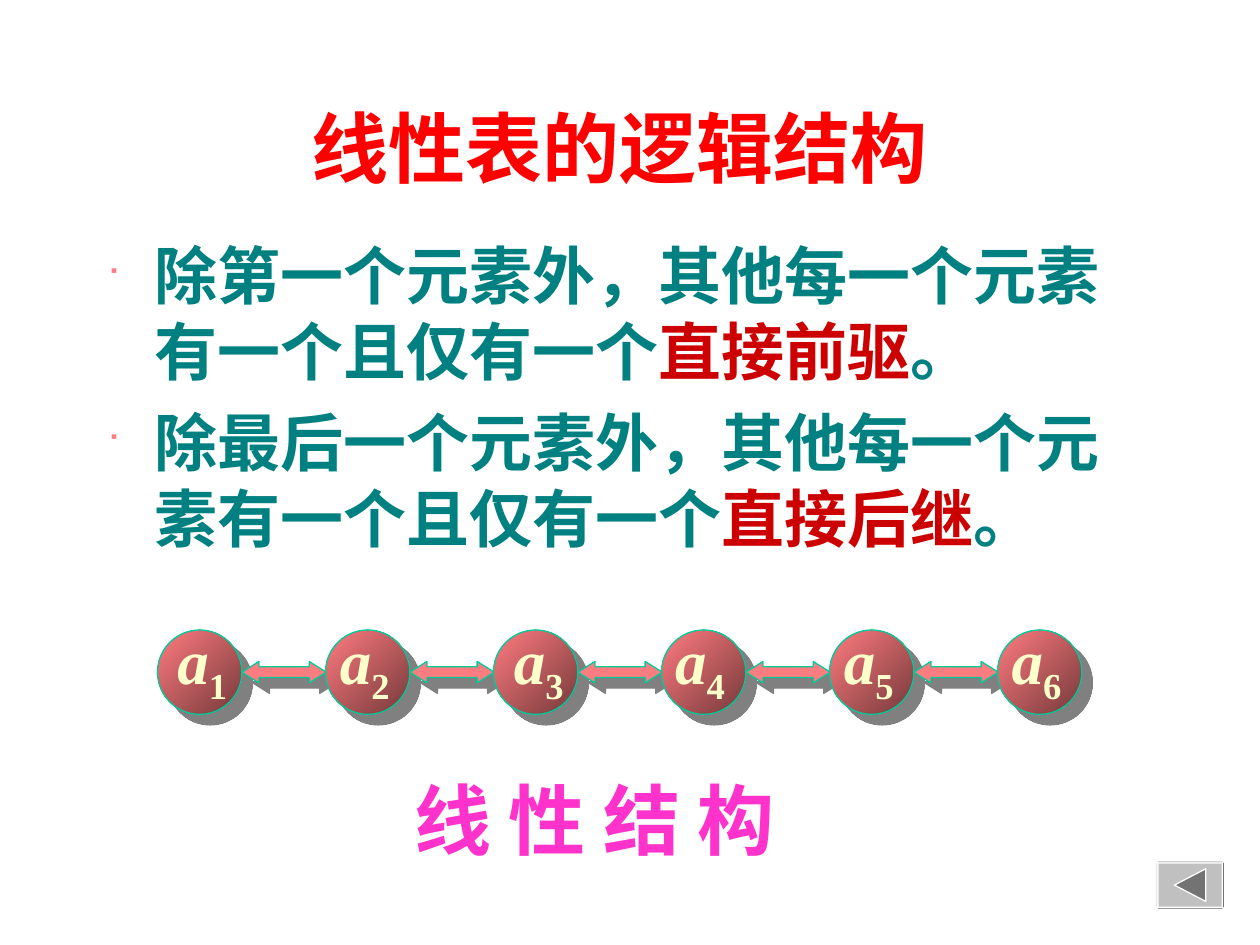
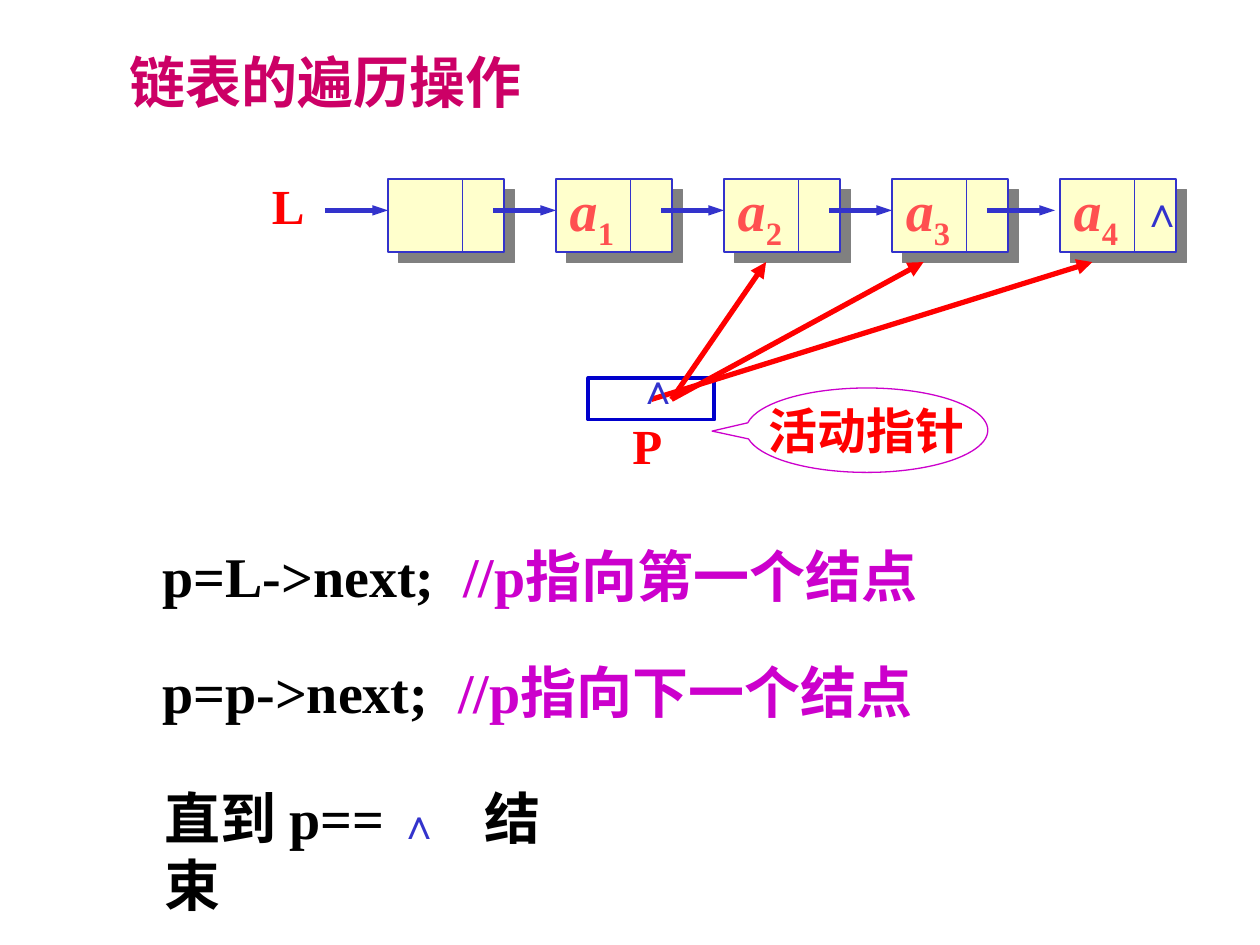
from lxml import etree
from pptx import Presentation
from pptx import util as u
from pptx.dml.color import RGBColor
from pptx.enum import shapes, text
from pptx.oxml import parse_xml
from pptx.oxml.ns import qn

SHAPE = shapes.MSO_SHAPE
ALIGN = text.PP_ALIGN
SERIF = "Times New Roman"
RED, BLUE, PINK, CREAM = "FF0000", "3333CC", "FF7C80", "FFFFCC"
PURPLE, GREEN, TEAL, CRIMSON = "CC00CC", "00CC99", "008080", "CC0000"
DRAWING = "http://schemas.openxmlformats.org/drawingml/2006/main"
PITCH = 4 / 3


def color(code):
    """Turn a hex string into a colour."""
    return RGBColor.from_string(code)


def add_xml(parent, markup):
    """Append a drawing element, given without its prefix declaration."""
    tag, rest = markup.split(" ", 1)
    parent.append(parse_xml(f'{tag} xmlns:a="{DRAWING}" {rest}'))


def write(frame, paragraphs, size=32, ink=RED, font=SERIF, align=ALIGN.LEFT, wrap=False,
          grow=True, anchor=text.MSO_ANCHOR.TOP, bullet=None, gap=0, tab=None):
    """Fill a frame with paragraphs, each a list of (words, run overrides)."""
    frame.word_wrap = wrap
    frame.auto_size = text.MSO_AUTO_SIZE.SHAPE_TO_FIT_TEXT if grow else text.MSO_AUTO_SIZE.NONE
    frame.vertical_anchor = anchor
    for number, runs in enumerate(paragraphs):
        paragraph = frame.add_paragraph() if number else frame.paragraphs[0]
        paragraph.alignment = align
        paragraph.space_before = u.Pt(gap if number else 0)
        props = paragraph._p.get_or_add_pPr()
        if bullet:
            props.set("marL", str(u.Inches(0.38)))
            props.set("indent", str(-u.Inches(0.38)))
            add_xml(props, f'<a:buClr ><a:srgbClr val="{bullet}"/></a:buClr>')
            add_xml(props, '<a:buSzPct val="50000"/>')
            add_xml(props, '<a:buFont typeface="Wingdings" charset="2"/>')
            add_xml(props, '<a:buChar char="■"/>')
        if tab:
            stops = etree.SubElement(props, qn("a:tabLst"))
            etree.SubElement(stops, qn("a:tab"), pos=str(u.Inches(tab)), algn="l")
        for words, own in runs:
            run = paragraph.add_run()
            run.text = words
            run.font.name = own.get("font", font)
            run.font.size = u.Pt(own.get("size", size))
            run.font.color.rgb = color(own.get("ink", ink))
            run.font.bold = True
            run.font.italic = own.get("italic", False)
            if "base" in own:
                run._r.get_or_add_rPr().set("baseline", str(own["base"]))


class Deck:
    """Holds the shared style and the current slide."""

    def __init__(self):
        """Start an empty 10 by 7.5 inch presentation."""
        self.show = Presentation()
        self.show.slide_width, self.show.slide_height = u.Inches(10), u.Inches(7.5)

    def new_slide(self, title, box, **style):
        """Add a title-only slide with its title placed and formatted."""
        self.slide = self.show.slides.add_slide(self.show.slide_layouts[5])
        heading = self.slide.shapes.title
        heading.left, heading.top, heading.width, heading.height = map(u.Inches, box)
        write(heading.text_frame, [[(title, {})]], wrap=True, grow=False,
              anchor=text.MSO_ANCHOR.MIDDLE, **style)

    def label(self, box, *paragraphs, **style):
        """Add a text box."""
        frame = self.slide.shapes.add_textbox(*map(u.Inches, box)).text_frame
        write(frame, paragraphs, **style)

    def element(self, box, index, **style):
        """Add an italic a with an upright subscript."""
        self.label(box, [("a", {"italic": True}), (str(index), {"base": -25000})], **style)

    def paint(self, shape, fill, line, width=0.75, shadow=False):
        """Set fill, outline and shadow of a shape."""
        shape.shadow.inherit = False
        if fill:
            shape.fill.solid()
            shape.fill.fore_color.rgb = color(fill)
        else:
            shape.fill.background()
        shape.line.color.rgb = color(line)
        shape.line.width = u.Pt(width)
        if shadow:
            effects = shape._element.spPr.find(qn("a:effectLst"))
            add_xml(effects, f'<a:outerShdw dist="{u.Pt(8.5)}" dir="2700000" algn="ctr" '
                             'rotWithShape="0"><a:srgbClr val="808080"/></a:outerShdw>')

    def shape(self, kind, box, fill, line, adjust=(), **style):
        """Add a preset shape."""
        shape = self.slide.shapes.add_shape(kind, *map(u.Inches, box))
        for number, value in enumerate(adjust):
            shape.adjustments[number] = value
        self.paint(shape, fill, line, **style)
        return shape

    def ball(self, box):
        """Add a shaded circle."""
        ball = self.shape(SHAPE.OVAL, box, PINK, GREEN, shadow=True)
        ball.fill.gradient()
        ball.fill.gradient_angle = 315
        for stop, position, shade in zip(ball.fill.gradient_stops, (0, 1), (PINK, "76393B")):
            stop.position = position
            stop.color.rgb = color(shade)

    def polygon(self, points, fill):
        """Add a closed outline through points."""
        corners = [(u.Inches(x), u.Inches(y)) for x, y in points]
        builder = self.slide.shapes.build_freeform(*corners[0])
        builder.add_line_segments(corners[1:], close=True)
        self.paint(builder.convert_to_shape(), fill, "FFFFFF")

    def line(self, start, end, ink, width=3, head=None):
        """Add a straight line, with an arrowhead of the given width."""
        line = self.slide.shapes.add_connector(
            shapes.MSO_CONNECTOR.STRAIGHT, *map(u.Inches, (*start, *end)))
        line.line.color.rgb = color(ink)
        line.line.width = u.Pt(width)
        if head:
            add_xml(line.line._get_or_add_ln(), f'<a:tailEnd type="triangle" w="{head}" len="med"/>')
        etree.SubElement(line._element.spPr, qn("a:effectLst"))

    def back_button(self, left, top, right, bottom, rim=0.02):
        """Add a bevelled button with a triangle that points left."""
        outer = [(left, top), (right, top), (right, bottom), (left, bottom)]
        inner = [(left + rim, top + rim), (right - rim, top + rim),
                 (right - rim, bottom - rim), (left + rim, bottom - rim)]
        self.polygon(outer, "C0C0C0")
        for side, shade in enumerate(("CDCDCD", "737373", "9A9A9A", "E6E6E6")):
            after = (side + 1) % 4
            self.polygon([outer[side], outer[after], inner[after], inner[side]], shade)
        middle = (top + bottom) / 2
        self.polygon([(left + 0.15, middle), (left + 0.4, middle - 0.13),
                      (left + 0.4, middle + 0.13)], "737373")


def logical_structure(deck):
    """Build the slide on the logical structure of a linear list."""
    deck.new_slide("线性表的逻辑结构", (0.67, 0.75, 8.5, 0.83), size=44, align=ALIGN.CENTER)
    rules = [("除第一个元素外，其他每一个元素有一个且仅有一个", "直接前驱"),
             ("除最后一个元素外，其他每一个元素有一个且仅有一个", "直接后继")]
    deck.label((0.75, 1.83, 8.5, 2.92),
               *[[(rule, {}), (term, {"ink": CRIMSON}), ("。", {})] for rule, term in rules],
               size=36, ink=TEAL, wrap=True, grow=False, bullet=PINK, gap=9)
    label_lefts = (1.31, 2.6, 3.98, 5.26, 6.6, 7.93)
    for number in range(len(label_lefts)):
        left = 1.25 + number * PITCH
        deck.ball((left, 5, 0.67, 0.67))
        if number < len(label_lefts) - 1:
            deck.shape(SHAPE.LEFT_RIGHT_ARROW, (left + 0.67, 5.25, 0.67, 0.17), PINK, GREEN,
                       adjust=(0.5, 0.8), shadow=True)
    for index, left in enumerate(label_lefts, 1):
        deck.element((left, 4.88, 0.7, 0.79), index, size=36, ink=CREAM, wrap=True)
    deck.back_button(9.17, 6.83, 9.72, 7.22)
    deck.label((3.19, 6.08, 3.56, 0.84), [("线 性 结 构", {})], size=44, ink="FF33CC")


def traversal(deck):
    """Build the slide on walking through a linked list."""
    deck.new_slide("链表的遍历操作", (0.93, 0.32, 3.5, 0.64), ink="CC0066")
    null = {"font": "Arial", "size": 24, "ink": BLUE}
    for number in range(5):
        left = 3.08 + number * PITCH
        deck.shape(SHAPE.RECTANGLE, (left, 1.42, 0.92, 0.58), CREAM, BLUE, shadow=True)
        deck.line((left + 0.59, 1.42), (left + 0.59, 2), BLUE, width=0.75)
        shift = 0.08 if number == 4 else 0
        deck.line((left - 0.5 - shift, 1.67), (left - shift / 2, 1.67), BLUE, head="sm")
        if number:
            deck.element((left + 0.01, 1.34, 0.65, 0.71), number, ink="FF5050", wrap=True)
    deck.label((8.96, 1.42, 0.31, 0.5), [("∧", null)])
    deck.label((2.06, 1.34, 0.45, 0.57), [("L", {})], size=28)

    callout = deck.shape(SHAPE.OVAL_CALLOUT, (5.92, 3.08, 1.92, 0.67), None, PURPLE,
                         adjust=(-0.64, 0.01))
    write(callout.text_frame, [[("活动指针", {})]], size=28, align=ALIGN.CENTER, grow=False,
          anchor=text.MSO_ANCHOR.MIDDLE)

    steps = [(4.25, "p=L->next;", "//p指向第一个结点", 2.39),
             (5.17, "p=p->next;", "//p指向下一个结点", 2.35)]
    for top, code, remark, tab in steps:
        deck.label((1.19, top, 6.4, 0.64), [(code + "\t", {}), (remark, {"ink": PURPLE})],
                   ink="000000", wrap=True, tab=tab)
    deck.label((1.21, 6.17, 3.41, 0.64), [("直到 p== ", {}), ("∧\t", null), ("结束", {})],
               ink="000000", wrap=True, tab=2.54)

    deck.label((4.92, 3.25, 0.44, 0.57), [("P", {})], size=28)
    deck.shape(SHAPE.RECTANGLE, (4.67, 3, 1, 0.33), None, "0000CC", width=2.25)
    for start, end in ((5.33, 6.08), (5.33, 7.33), (5.17, 8.67)):
        deck.line((start, 3.17), (end, 2.08), RED, head="med")
    deck.label((4.96, 2.83, 0.31, 0.5), [("∧", null)])


def main():
    """Build and save both slides."""
    deck = Deck()
    logical_structure(deck)
    traversal(deck)
    deck.show.save("out.pptx")


if __name__ == "__main__":
    main()
